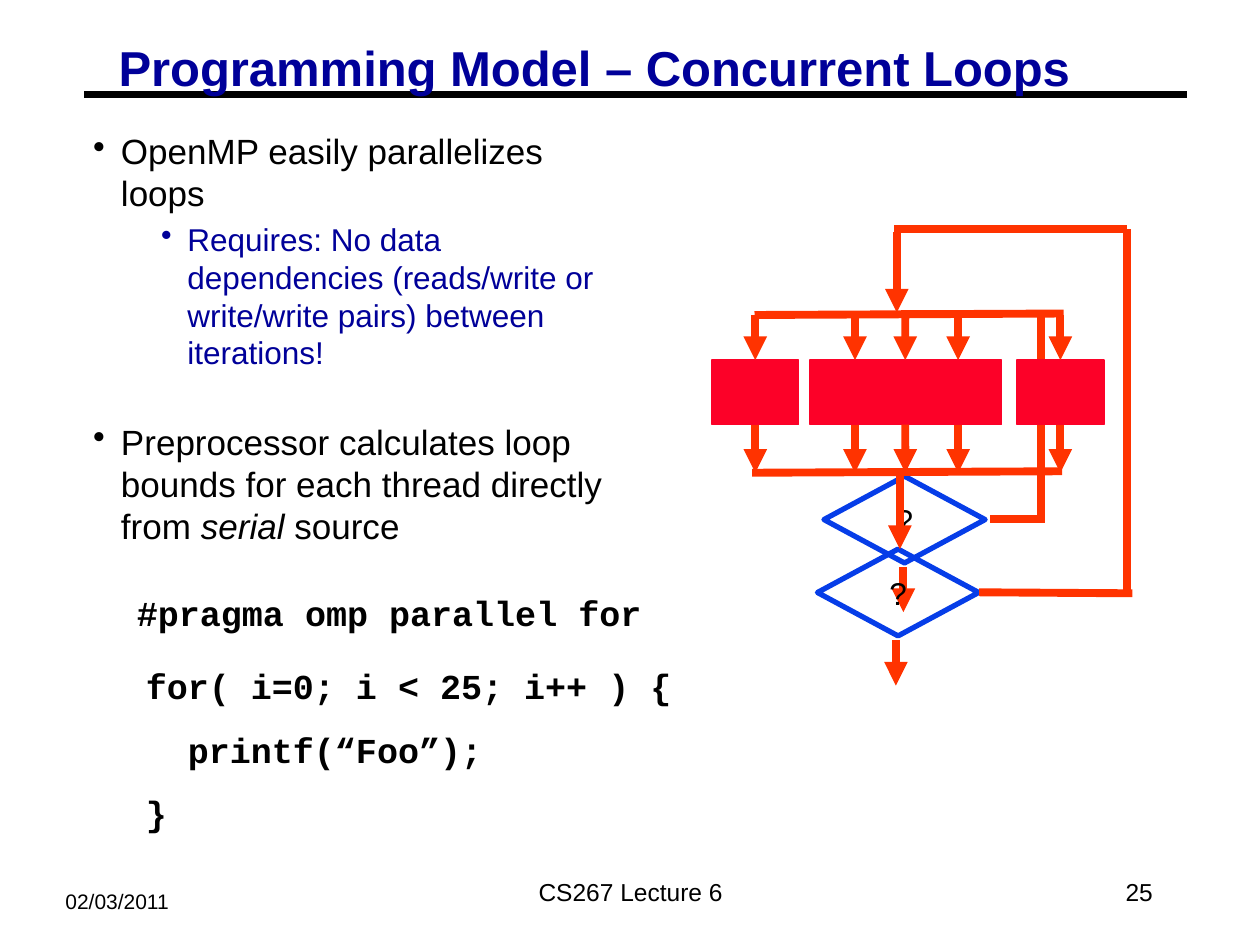
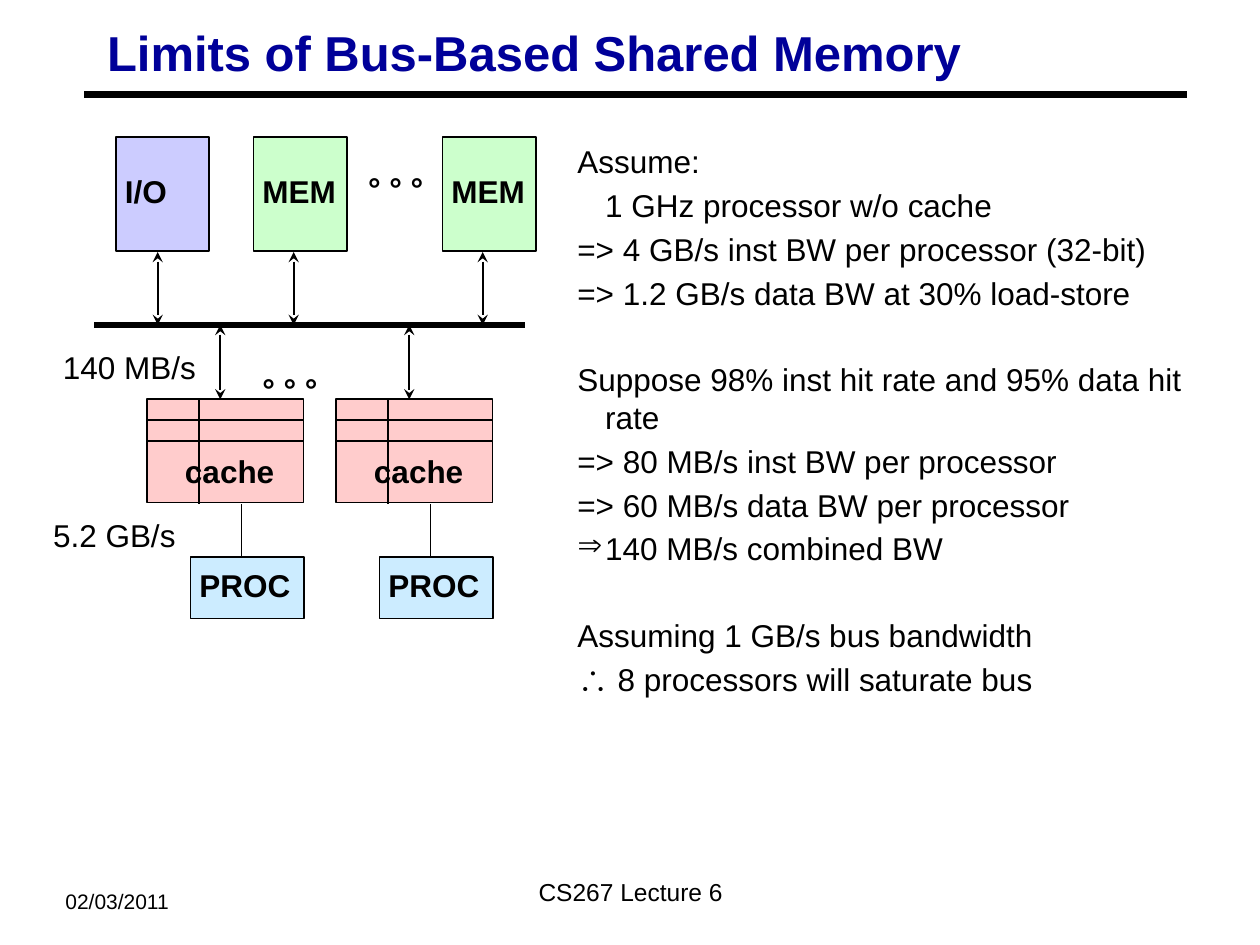
"""Build two lecture slides: concurrent loops and the limits of a shared bus."""
from lxml import etree
from pptx import Presentation
from pptx.dml.color import RGBColor
from pptx.enum.shapes import MSO_CONNECTOR, MSO_SHAPE
from pptx.enum.text import MSO_ANCHOR, PP_ALIGN
from pptx.oxml.ns import qn
from pptx.util import Cm, Pt

BLACK = RGBColor(0x00, 0x00, 0x00)
NAVY = RGBColor(0x00, 0x00, 0x99)
RED = RGBColor(0xFC, 0x01, 0x28)
ORANGE = RGBColor(0xFF, 0x33, 0x00)
BLUE = RGBColor(0x06, 0x3D, 0xE8)
LILAC = RGBColor(0xCC, 0xCC, 0xFF)
GREEN = RGBColor(0xCC, 0xFF, 0xCC)
PINK = RGBColor(0xFF, 0xCC, 0xCC)
SKY = RGBColor(0xCC, 0xEC, 0xFF)

RECT = MSO_SHAPE.RECTANGLE
DIAMOND = MSO_SHAPE.FLOWCHART_DECISION
STRAIGHT = MSO_CONNECTOR.STRAIGHT
LEFT, CENTER, RIGHT = PP_ALIGN.LEFT, PP_ALIGN.CENTER, PP_ALIGN.RIGHT
TOP, MIDDLE, BOTTOM = MSO_ANCHOR.TOP, MSO_ANCHOR.MIDDLE, MSO_ANCHOR.BOTTOM


def put(slide, x, y, w, h, lines=(), size=18, bold=False, color=BLACK,
        font="Arial", align=LEFT, anchor=TOP, pad=(0.18, 0.08), gap=0,
        pitch=1.0, kind=None, fill=None, edge=BLACK, weight=1):
    place = Cm(x), Cm(y), Cm(w), Cm(h)
    if kind is None:
        item = slide.shapes.add_textbox(*place)
    else:
        item = slide.shapes.add_shape(kind, *place)
        item.shadow.inherit = False
        item.line.color.rgb = edge
        item.line.width = Pt(weight)
        if fill is None:
            item.fill.background()
        else:
            item.fill.solid()
            item.fill.fore_color.rgb = fill
    frame = item.text_frame
    frame.word_wrap = True
    frame.vertical_anchor = anchor
    frame.margin_left = Cm(pad[0])
    frame.margin_right = Cm(0 if align == LEFT else pad[0])
    frame.margin_top = frame.margin_bottom = Cm(pad[1])
    for i, line in enumerate(lines):
        para = frame.add_paragraph() if i else frame.paragraphs[0]
        para.text = line
        para.alignment = align
        para.line_spacing = pitch
        if i:
            para.space_before = Pt(gap)
        para.font.name = font
        para.font.size = Pt(size)
        para.font.bold = bold
        para.font.color.rgb = color
    return item


def link(slide, x1, y1, x2, y2, color=BLACK, weight=1, head=None, tail=None):
    line = slide.shapes.add_connector(STRAIGHT, Cm(x1), Cm(y1), Cm(x2), Cm(y2))
    line.line.color.rgb = color
    line.line.width = Pt(weight)
    props = line._element.spPr
    for tag, tip in (("a:headEnd", head), ("a:tailEnd", tail)):
        if tip:
            etree.SubElement(props.find(qn("a:ln")), qn(tag)).set("type", tip)
    etree.SubElement(props, qn("a:effectLst"))
    return line


deck = Presentation()
deck.slide_width, deck.slide_height = Cm(25.4), Cm(19.05)
loops = deck.slides.add_slide(deck.slide_layouts[6])
bus = deck.slides.add_slide(deck.slide_layouts[6])
WIDE = (0.25, 0.13)

for slide, x, y, title in (
    (loops, 2.21, 0.84, "Programming Model – Concurrent Loops"),
    (bus, 1.98, 0.53, "Limits of Bus-Based Shared Memory"),
):
    link(slide, 1.7, 1.9, 23.93, 1.9, weight=3.75)
    put(slide, 1.07, 17.78, 4.88, 0.76, ["02/03/2011"], 12, pad=WIDE)
    put(slide, 8.69, 17.35, 8.05, 1.27, ["CS267 Lecture 6"], 14,
        align=CENTER, anchor=MIDDLE, pad=WIDE)
    put(slide, x, y, 21.69, 1.17, [title], 28, True, NAVY, pitch=0.87)
put(loops, 18.21, 17.35, 5.28, 1.27, ["25"], 14,
    align=RIGHT, anchor=MIDDLE, pad=WIDE)

points = [
    ("OpenMP easily parallelizes loops", "•", 0.56, -0.56, 0, 20, BLACK),
    ("Requires: No data dependencies (reads/write or write/write pairs) "
     "between iterations!", "•", 1.9, -0.53, 3.4, 18, NAVY),
    ("Preprocessor calculates loop bounds for each thread directly from ",
     "•", 0.56, -0.56, 28, 20, BLACK),
]
sums = [
    (text, mark, 0.56, hang, gap, 18, BLACK) for text, mark, hang, gap in (
        ("Assume:", None, -0.56, 0),
        ("1 GHz processor w/o cache", None, 0, 3.4),
        ("=> 4 GB/s inst BW per processor (32-bit)", None, -0.56, 3.4),
        ("=> 1.2 GB/s data BW at 30% load-store", None, -0.56, 3.4),
        ("Suppose 98% inst hit rate and 95% data hit rate", None, -0.56, 28),
        ("=> 80 MB/s inst BW per processor", None, -0.56, 3.4),
        ("=> 60 MB/s data BW per processor", None, -0.56, 3.4),
        ("140 MB/s combined BW", "⇒", -0.56, 3.4),
        ("Assuming 1 GB/s bus bandwidth", None, -0.56, 28),
        ("∴ 8 processors will saturate bus", None, -0.56, 3.4),
    )
]
for slide, place, rows in (
    (loops, (1.7, 2.54, 10.92, 8.56), points),
    (bus, (11.46, 2.79, 13.51, 11.35), sums),
):
    frame = put(slide, *place).text_frame
    for i, (text, mark, left, hang, gap, size, color) in enumerate(rows):
        para = frame.add_paragraph() if i else frame.paragraphs[0]
        para.text = text
        para.space_before = Pt(gap)
        props = para._p.get_or_add_pPr()
        props.set("marL", str(int(Cm(left))))
        props.set("indent", str(int(Cm(hang))))
        if mark:
            etree.SubElement(props, qn("a:buChar")).set("char", mark)
        para.font.name = "Arial"
        para.font.size = Pt(size)
        para.font.color.rgb = color
    if slide is loops:
        word = para.add_run()
        word.text = "serial"
        word.font.italic = True
        para.add_run().text = " source"

flow = {"color": ORANGE, "weight": 4.5}
for ends in (
    (20.98, 6.32, 20.98, 10.52),
    (18.16, 6.32, 20.98, 6.32),
    (19.96, 10.46, 21.06, 10.46),
):
    link(loops, *ends, **flow)
link(loops, 18.21, 11.43, 18.21, 12.34, tail="triangle", **flow)

for x, w in ((16.33, 3.84), (16.36, 1.75), (18.44, 1.75),
             (20.5, 1.75), (14.35, 1.75)):
    task = put(loops, x, 7.26, w, 1.3, kind=RECT, fill=RED, edge=RED)
    mid = x + w / 2
    enter = link(loops, mid, 6.35, mid, 7.26, tail="triangle", **flow)
    enter.end_connect(task, 0)
    leave = link(loops, mid, 8.56, mid, 9.53, tail="triangle", **flow)
    leave.begin_connect(task, 2)

for x, y in ((16.61, 9.6), (16.48, 11.07)):
    put(loops, x, y, 3.25, 1.75, ["?"], align=CENTER, anchor=MIDDLE,
        pad=(0, 0), kind=DIAMOND, edge=BLUE, weight=3)

for *ends, tail in (
    (18.08, 4.67, 18.08, 6.3, "triangle"),
    (18.03, 4.62, 22.71, 4.62, None),
    (22.71, 4.62, 22.71, 12.04, None),
    (19.74, 11.94, 22.83, 11.96, None),
    (18.06, 12.9, 18.06, 13.82, "triangle"),
    (21.44, 6.32, 15.21, 6.35, None),
    (21.41, 9.5, 15.16, 9.53, None),
    (18.14, 9.6, 18.14, 11.07, "triangle"),
):
    link(loops, *ends, tail=tail, **flow)

code = {"size": 20, "bold": True, "font": "Courier New", "pad": WIDE}
put(loops, 2.51, 11.79, 11.1, 1.12, ["#pragma omp parallel for"], **code)
put(loops, 2.69, 13.26, 11.07, 4.57,
    ["for( i=0; i < 25; i++ ) {", "  printf(“Foo”);", "}"], gap=12.5, **code)

both = {"head": "stealth", "tail": "stealth"}
label = {"bold": True, "pitch": 0.85}
link(bus, 1.9, 6.55, 10.59, 6.55, weight=3.75)
for x, name, fill, port in (
    (2.34, "I/O", LILAC, 3.18),
    (5.11, "MEM", GREEN, 5.92),
    (8.92, "MEM", GREEN, 9.73),
):
    put(bus, x, 2.77, 1.88, 2.29, [name], anchor=MIDDLE,
        kind=RECT, fill=fill, **label)
    link(bus, port, 5.08, port, 6.55, **both)

for x in (2.97, 6.78):
    put(bus, x, 8.05, 3.15, 2.08, ["cache"], anchor=BOTTOM,
        pad=(0.76, 0.25), kind=RECT, fill=PINK, **label)
    put(bus, x + 0.87, 11.23, 2.29, 1.24, ["PROC"], anchor=MIDDLE,
        kind=RECT, fill=SKY, **label)
    link(bus, x + 1.47, 6.55, x + 1.47, 8.05, **both)
    link(bus, x + 1.9, 10.16, x + 1.9, 11.23)
    link(bus, x + 1.04, 8.05, x + 1.04, 10.16)
    for y in (8.46, 8.89):
        link(bus, x, y, x + 3.16, y)

for x, y in ((7.24, 3.45), (5.11, 7.49)):
    put(bus, x, y, 1.47, 0.79, ["° ° °"], **label)
for x, y, rate in ((0.89, 10.44, "5.2 GB/s"), (1.09, 7.06, "140 MB/s")):
    put(bus, x, y, 3.05, 0.79, [rate], pitch=0.85)

deck.save("out.pptx")
